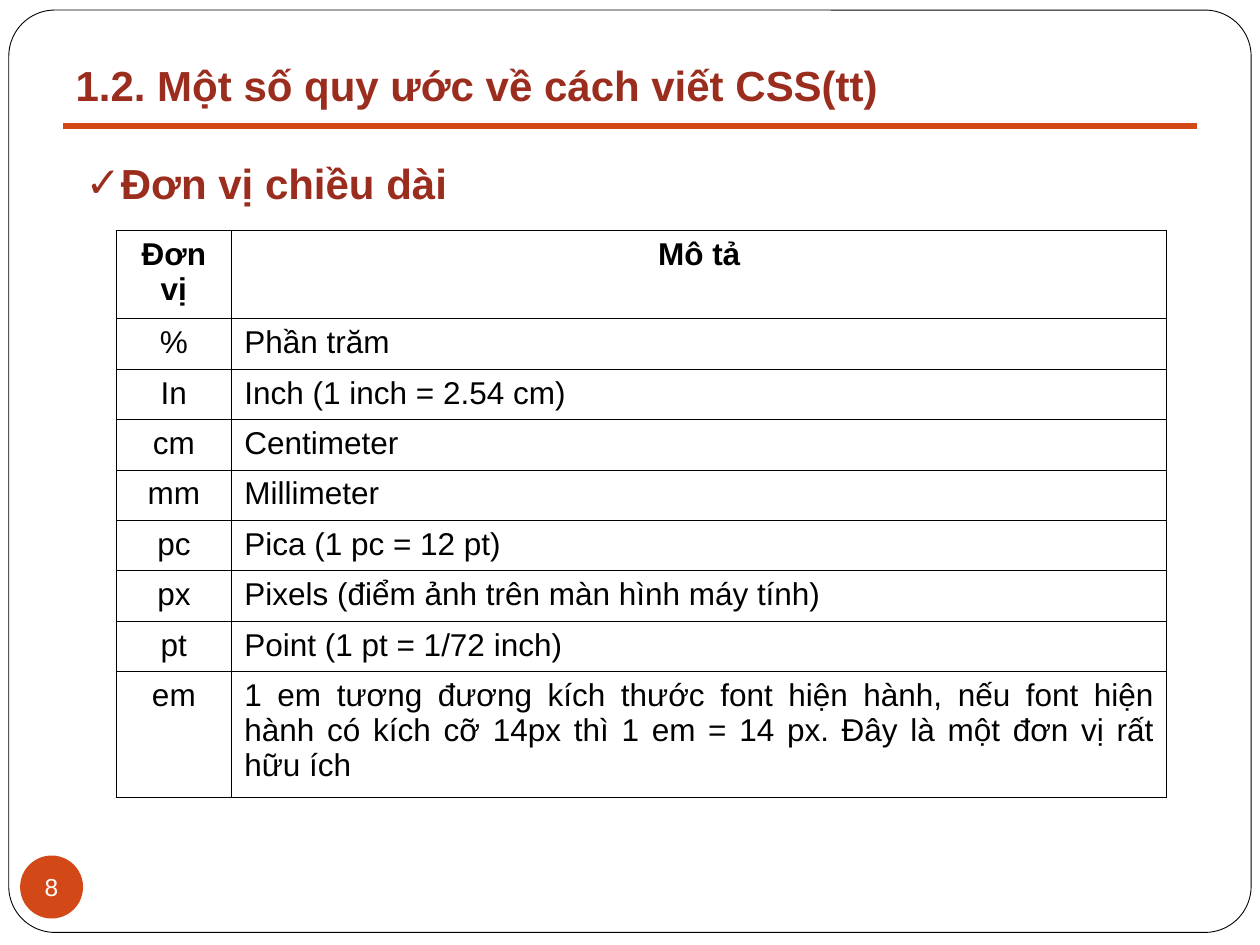
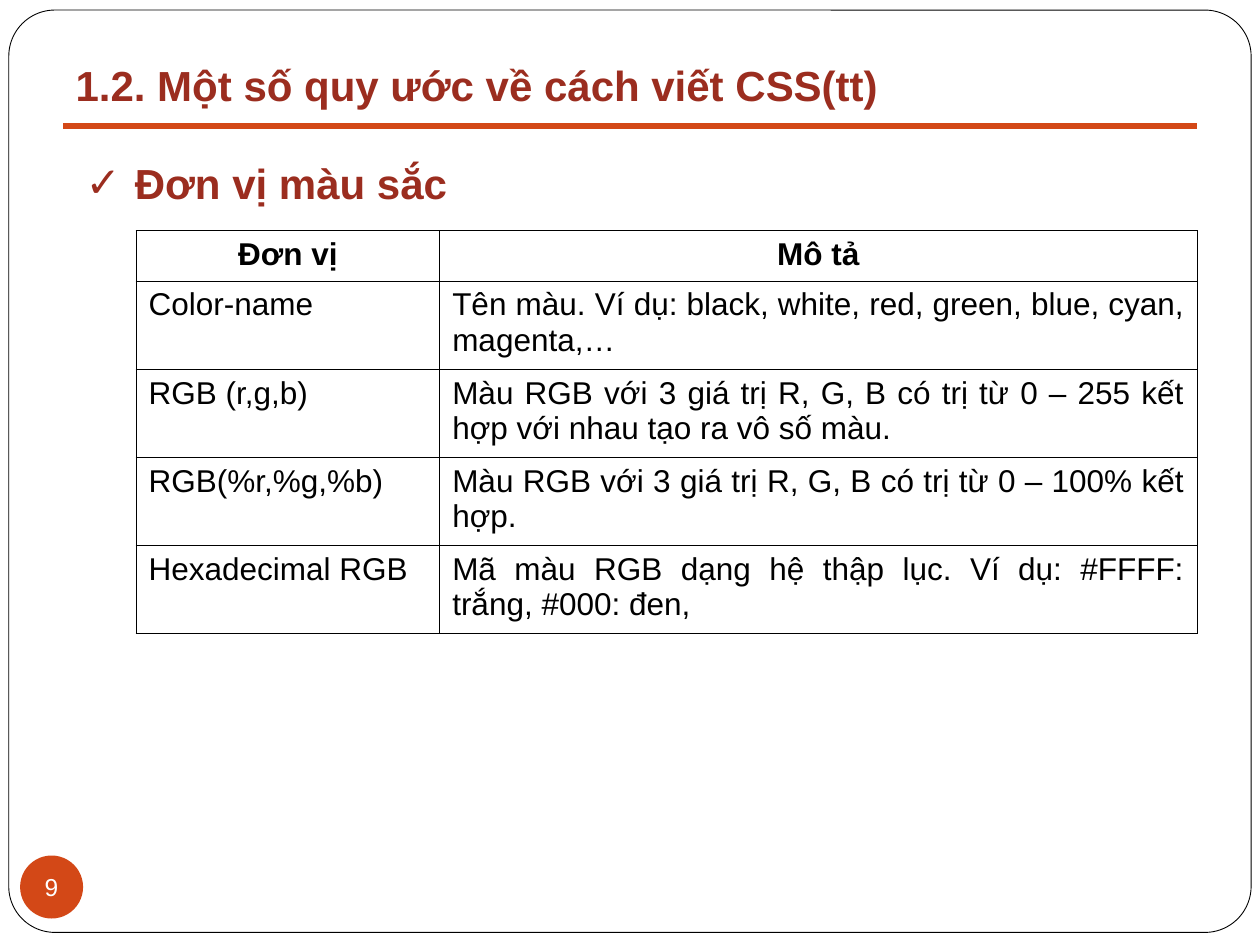
from dataclasses import dataclass

from lxml.etree import SubElement
from pptx import Presentation
from pptx.dml.color import RGBColor
from pptx.enum.shapes import MSO_CONNECTOR, MSO_SHAPE
from pptx.enum.text import MSO_ANCHOR, MSO_AUTO_SIZE, PP_ALIGN
from pptx.oxml.ns import qn
from pptx.util import Inches, Pt

COLORS = {"ink": "000000", "paper": "FFFFFF", "accent": "D34817", "head": "9B2D1F"}
FONT = "Arial"
WIDE, HIGH = Inches(10), Inches(7.5)
COL, ROW = WIDE / 100, HIGH / 75
TITLE = "1.2. Một số quy ước về cách viết CSS(tt)"
HEADS = ("Đơn vị", "Mô tả")


@dataclass(frozen=True)
class Box:
    """A place on the slide, in grid columns and rows."""
    left: float
    top: float
    width: float
    height: float

    def place(self) -> tuple:
        return (int(self.left * COL), int(self.top * ROW),
                int(self.width * COL), int(self.height * ROW))


@dataclass(frozen=True)
class Page:
    number: int
    topic: str
    hang: float
    left: float
    cols: tuple
    rows: tuple
    keys: PP_ALIGN
    cells: tuple


FRAME = Box(0.7, 0.8, 98.6, 73.2)
BADGE = Box(1.6, 67.9, 5, 5)
HEADER = Box(5, 4.2, 90, 5)
TOPIC = Box(5.8, 12, 80, 5)
RULE_TOP, TABLE_TOP = 10, 18.3

PAGES = (
    Page(8, "Đơn vị chiều dài", 2.7, 9.2, (9.2, 74.2), (7, *[4] * 7, 10),
         PP_ALIGN.CENTER, (
             ("%", "Phần trăm"),
             ("In", "Inch (1 inch = 2.54 cm)"),
             ("cm", "Centimeter"),
             ("mm", "Millimeter"),
             ("pc", "Pica (1 pc = 12 pt)"),
             ("px", "Pixels (điểm ảnh trên màn hình máy tính)"),
             ("pt", "Point (1 pt = 1/72 inch)"),
             ("em", "1 em tương đương kích thước font hiện hành, nếu font hiện "
                    "hành có kích cỡ 14px thì 1 em = 14 px. Đây là một đơn vị "
                    "rất hữu ích"),
         )),
    Page(9, "Đơn vị màu sắc", 3.9, 10.8, (24.1, 60.1), (4, *[7] * 4),
         PP_ALIGN.JUSTIFY, (
             ("Color-name", "Tên màu. Ví dụ: black, white, red, green, blue, "
                            "cyan, magenta,…"),
             ("RGB (r,g,b)", "Màu RGB với 3 giá trị R, G, B có trị từ 0 – 255 "
                             "kết hợp với nhau tạo ra vô số màu."),
             ("RGB(%r,%g,%b)", "Màu RGB với 3 giá trị R, G, B có trị từ "
                               "0 – 100% kết hợp."),
             ("Hexadecimal RGB", "Mã màu RGB dạng hệ thập lục. Ví dụ: #FFFF: "
                                 "trắng, #000: đen,"),
         )),
)


def tint(name: str) -> RGBColor:
    return RGBColor.from_string(COLORS[name])


def write(frame, text: str, *, size=18, color="ink", bold=False,
          align=PP_ALIGN.LEFT, hang=0.0) -> None:
    """Fill a text frame with one paragraph; hang sets a check mark's indent."""
    frame.text = text
    para = frame.paragraphs[0]
    para.alignment = align
    para.space_before = Pt(0)
    if hang:
        props = para._p.get_or_add_pPr()
        props.set("marL", str(int(hang * COL)))
        props.set("indent", str(-int(hang * COL)))
        shade = SubElement(props, qn("a:buClr"))
        SubElement(shade, qn("a:srgbClr"), val=COLORS[color])
        SubElement(props, qn("a:buChar"), char="✓")
    font = para.runs[0].font
    font.name, font.size, font.bold = FONT, Pt(size), bold
    font.color.rgb = tint(color)


def add_form(slide, kind: MSO_SHAPE, box: Box, fill: str):
    form = slide.shapes.add_shape(kind, *box.place())
    form.shadow.inherit = False
    form.fill.solid()
    form.fill.fore_color.rgb = tint(fill)
    form.line.fill.background()
    return form


def add_base(slide, number: int) -> None:
    """Draw the frame behind all else, then the rule and the page badge."""
    frame = add_form(slide, MSO_SHAPE.ROUNDED_RECTANGLE, FRAME, "paper")
    frame.adjustments[0] = 0.05
    frame.line.color.rgb = tint("ink")
    frame.line.width = Pt(0.5)
    slide.shapes._spTree.insert(2, frame._element)

    level = int(RULE_TOP * ROW)
    rule = slide.shapes.add_connector(
        MSO_CONNECTOR.STRAIGHT, int(5 * COL), level, int(95 * COL), level)
    rule.line.color.rgb = tint("accent")
    rule.line.width = Pt(3)
    SubElement(rule._element.spPr, qn("a:effectLst"))

    badge = add_form(slide, MSO_SHAPE.OVAL, BADGE, "accent")
    text = badge.text_frame
    text.margin_left = text.margin_right = 0
    text.margin_top = text.margin_bottom = 0
    text.vertical_anchor = MSO_ANCHOR.MIDDLE
    write(text, str(number), size=14, color="paper", align=PP_ALIGN.CENTER)


def fill_holder(holder, box: Box, text: str, hang: float = 0) -> None:
    holder.left, holder.top, holder.width, holder.height = box.place()
    frame = holder.text_frame
    frame.word_wrap = True
    frame.auto_size = MSO_AUTO_SIZE.NONE
    frame.vertical_anchor = MSO_ANCHOR.MIDDLE
    write(frame, text, size=24, color="head", bold=True, hang=hang)


def edge(cell) -> None:
    """Give a cell thin borders and no fill."""
    props = cell._tc.get_or_add_tcPr()
    for side in ("lnL", "lnR", "lnT", "lnB"):
        line = SubElement(props, qn(f"a:{side}"), w=str(Pt(0.45)))
        solid = SubElement(line, qn("a:solidFill"))
        SubElement(solid, qn("a:srgbClr"), val=COLORS["ink"])
    cell.fill.background()


def add_units(slide, page: Page) -> None:
    box = Box(page.left, TABLE_TOP, sum(page.cols), sum(page.rows))
    table = slide.shapes.add_table(
        len(page.rows), len(page.cols), *box.place()).table
    table.first_row = table.horz_banding = False
    for col, width in zip(table.columns, page.cols):
        col.width = int(width * COL)
    for row, height in zip(table.rows, page.rows):
        row.height = int(height * ROW)
    for r, texts in enumerate((HEADS, *page.cells)):
        aligns = (page.keys, PP_ALIGN.JUSTIFY) if r else (PP_ALIGN.CENTER,) * 2
        for c, (text, align) in enumerate(zip(texts, aligns)):
            cell = table.cell(r, c)
            edge(cell)
            write(cell.text_frame, text, bold=r == 0, align=align)


def main() -> None:
    deck = Presentation()
    deck.slide_width, deck.slide_height = WIDE, HIGH
    for page in PAGES:
        slide = deck.slides.add_slide(deck.slide_layouts[1])
        add_base(slide, page.number)
        fill_holder(slide.shapes.title, HEADER, TITLE)
        fill_holder(slide.placeholders[1], TOPIC, page.topic, page.hang)
        add_units(slide, page)
    deck.save("out.pptx")


if __name__ == "__main__":
    main()
